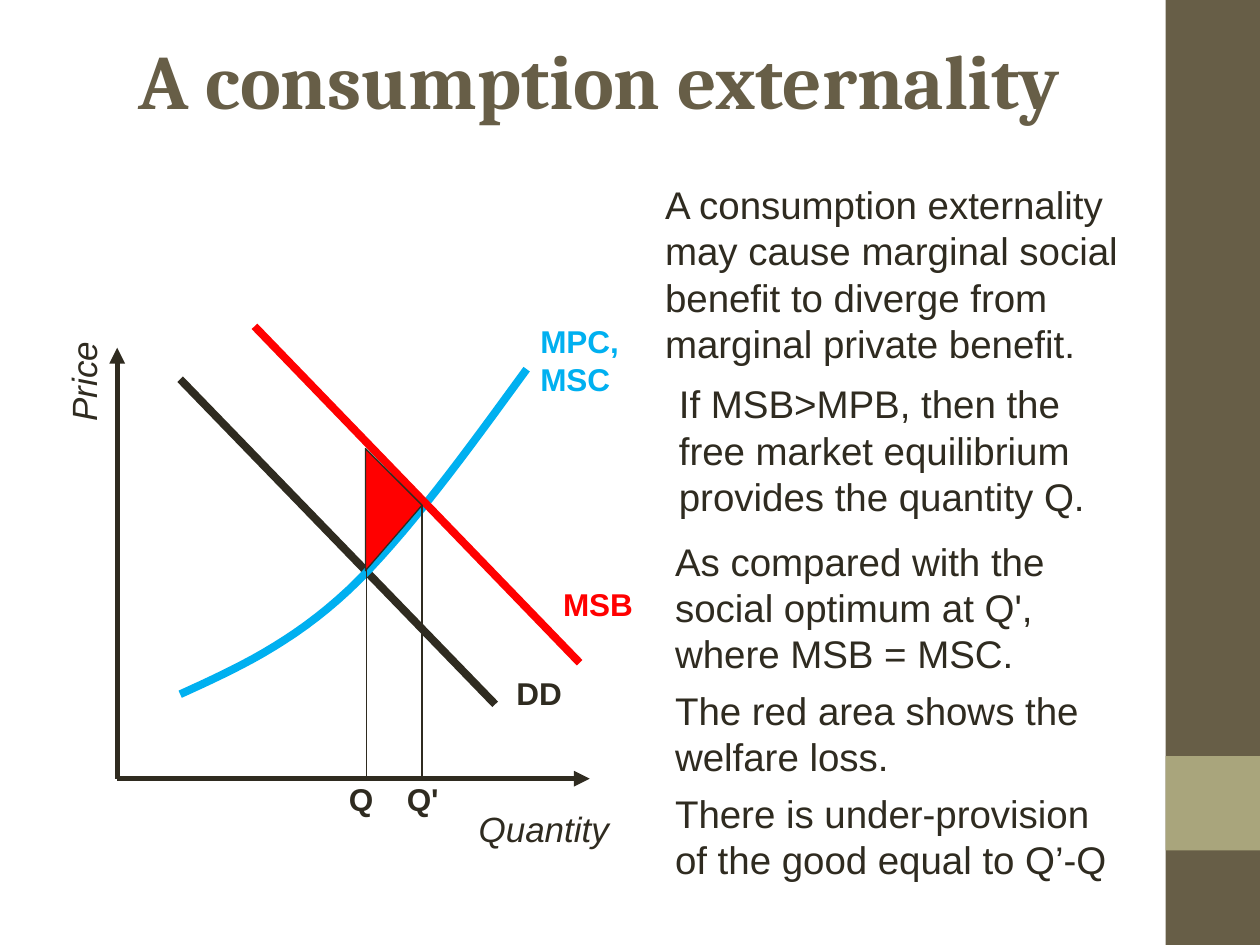
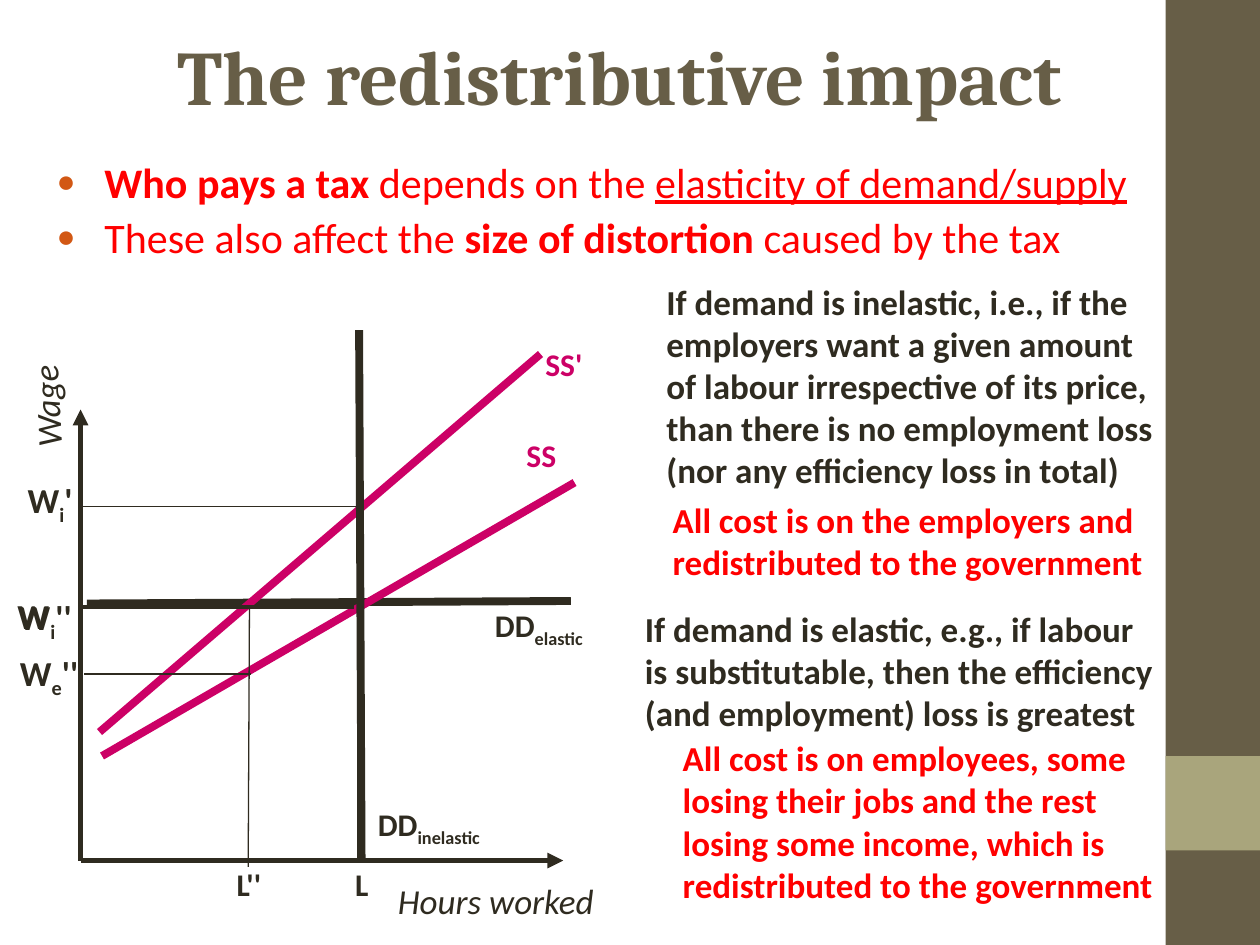
from lxml import etree
from pptx import Presentation
from pptx.dml.color import RGBColor
from pptx.enum.shapes import MSO_CONNECTOR, MSO_SHAPE
from pptx.enum.text import MSO_ANCHOR, MSO_AUTO_SIZE, PP_ALIGN
from pptx.oxml.ns import qn
from pptx.util import Emu, Pt

PX = 9144  # 100 px to the inch
SLIDE_WIDTH, SLIDE_HEIGHT = 1000, 750
BLANK_LAYOUT = 6
LABEL_SLACK = 4  # keeps tight one-line boxes from breaking a word
STRAIGHT = MSO_CONNECTOR.STRAIGHT
RECTANGLE = MSO_SHAPE.RECTANGLE
TOP = MSO_ANCHOR.TOP
CENTER = PP_ALIGN.CENTER
FIT_SHAPE = MSO_AUTO_SIZE.SHAPE_TO_FIT_TEXT

COLORS = {
    "band": "675E47",
    "accent": "A9A57C",
    "ink": "2F2B20",
    "red": "FF0000",
    "blue": "00B0F0",
    "magenta": "CC0066",
    "bullet": "D25814",
}
THIN, MEDIUM, AXIS, THICK = 0.75, 2.25, 3, 4.5


def color(name):
    return RGBColor.from_string(COLORS[name])


def px(*lengths):
    return [Emu(round(length * PX)) for length in lengths]


def bezier(start, control_1, control_2, end, steps=16):
    """Points along a cubic curve, without its start."""
    points = []
    for step in range(1, steps + 1):
        t = step / steps
        weights = ((1 - t) ** 3, 3 * t * (1 - t) ** 2, 3 * t * t * (1 - t), t ** 3)
        corners = (start, control_1, control_2, end)
        points.append(tuple(sum(w * corner[axis] for w, corner in zip(weights, corners))
                            for axis in (0, 1)))
    return points


class Deck:
    def __init__(self):
        self.presentation = Presentation()
        self.presentation.slide_width, self.presentation.slide_height = px(
            SLIDE_WIDTH, SLIDE_HEIGHT)
        self.slide = None
        self.font_name = None

    def new_slide(self, title, left, top, font_name):
        """Start a slide with the side bands and a title."""
        layout = self.presentation.slide_layouts[BLANK_LAYOUT]
        self.slide = self.presentation.slides.add_slide(layout)
        self.font_name = font_name
        self.band(925, 0, 75, SLIDE_HEIGHT, "band")
        self.band(925, 600, 75, 75, "accent")
        self.text([title], left, top, 850, 121, 44, "band", bold=True,
                  font_name="Cambria", align=CENTER, wrap=True)

    def band(self, left, top, width, height, fill):
        shape = self.slide.shapes.add_shape(RECTANGLE, *px(left, top, width, height))
        shape.shadow.inherit = False
        shape.fill.solid()
        shape.fill.fore_color.rgb = color(fill)
        shape.line.fill.background()

    def text(self, lines, left, top, width, height, size, ink="ink", bold=False,
             italic=False, font_name=None, align=None, wrap=False, rotation=0):
        """Write one paragraph a line; a line is a string or (text, style) runs."""
        if not wrap:
            width += LABEL_SLACK
        shape = self.slide.shapes.add_textbox(*px(left, top, width, height))
        shape.rotation = rotation
        frame = shape.text_frame
        frame.word_wrap = wrap
        frame.vertical_anchor = TOP
        if not wrap:
            frame.auto_size = FIT_SHAPE
        for index, line in enumerate(lines):
            paragraph = frame.paragraphs[0] if index == 0 else frame.add_paragraph()
            paragraph.alignment = align
            font = paragraph.font
            font.name = font_name or self.font_name
            font.size = Pt(size)
            font.color.rgb = color(ink)
            font.bold, font.italic = bold, italic
            runs = [(line, "")] if isinstance(line, str) else line
            for content, style in runs:
                self.run(paragraph, content, style)
        return frame

    def run(self, paragraph, content, style):
        run = paragraph.add_run()
        run.text = content
        if style == "bold":
            run.font.bold = True
        elif style == "underline":
            run.font.underline = True
        elif style == "subscript":
            run.font._element.set("baseline", "-25000")

    def label(self, content, left, top, width, ink="ink", size=18):
        """Bold diagram label; content is a string or a list of runs."""
        self.text([content], left, top, width, 40 if size == 18 else 44, size, ink, bold=True)

    def axis_name(self, content, left, top, width, rotation=0):
        self.text([content], left, top, width, 44, 20, italic=True, rotation=rotation)

    def bullets(self, lines, left, top, width, height, size, ink):
        frame = self.text(lines, left, top, width, height, size, ink, wrap=True)
        indent = 38 * PX
        for paragraph in frame.paragraphs:
            paragraph.line_spacing = 1.1
            properties = paragraph._p.get_or_add_pPr()
            properties.set("marL", str(indent))
            properties.set("indent", str(-indent))
            bullet_color = etree.Element(qn("a:buClr"))
            etree.SubElement(bullet_color, qn("a:srgbClr"), val=COLORS["bullet"])
            parts = (bullet_color,
                     etree.Element(qn("a:buSzPct"), val="75000"),
                     etree.Element(qn("a:buFont"), typeface="Arial"),
                     etree.Element(qn("a:buChar"), char="●"))
            default_font = properties.find(qn("a:defRPr"))
            for part in parts:
                default_font.addprevious(part)

    def line(self, start, end, ink="ink", width=THIN, arrow=False):
        connector = self.slide.shapes.add_connector(STRAIGHT, *px(*start, *end))
        connector.line.color.rgb = color(ink)
        connector.line.width = Pt(width)
        if arrow:
            etree.SubElement(connector.line._get_or_add_ln(), qn("a:tailEnd"), type="triangle")
        etree.SubElement(connector._element.spPr, qn("a:effectLst"))

    def axes(self, origin, right, top):
        x, y = origin
        for end in ((right, y), (x, top)):
            self.line(origin, end, width=AXIS, arrow=True)

    def outline(self, points, ink, width, fill=None):
        """Draw an open curve, or a closed area when it has a fill."""
        first, *others = [px(*point) for point in points]
        builder = self.slide.shapes.build_freeform(*first)
        builder.add_line_segments(others, close=fill is not None)
        shape = builder.convert_to_shape()
        shape.shadow.inherit = False
        shape.line.color.rgb = color(ink)
        shape.line.width = Pt(width)
        if fill:
            shape.fill.solid()
            shape.fill.fore_color.rgb = color(fill)
        else:
            shape.fill.background()


def consumption_externality(deck):
    deck.new_slide("A consumption externality", 51, 21, "Arial")

    # Axes, demand and cost curve
    deck.axes((93, 618), 468, 276)
    deck.line((143, 301), (393, 559), width=THICK)
    start, middle, end = (143, 551), (277, 468), (418, 293)
    cost_curve = [start,
                  *bezier(start, (187, 531), (231, 511), middle),
                  *bezier(middle, (322, 425), (370, 359), end)]
    deck.outline(cost_curve, "blue", THICK)
    deck.label("DD", 400, 530, 56)
    deck.text(["MPC,", "MSC"], 419, 251, 89, 70, 18, "blue", bold=True)
    deck.axis_name("Quantity", 370, 636, 123)
    deck.axis_name("Price", 23, 279, 83, rotation=270)

    # Market and optimal quantities
    deck.line((291, 451), (291, 618))
    deck.label("Q", 267, 614, 39)
    deck.line((202, 259), (460, 526), "red", THICK)
    deck.label("MSB", 437, 459, 75, "red")
    deck.line((335, 401), (335, 618))
    deck.label("Q'", 313, 614, 45)

    # Welfare loss
    deck.outline([(290, 453), (290, 356), (335, 401)], "ink", THIN, fill="red")

    # Explanation
    explanation = [
        (518, 139, 388, 157, ["A consumption externality", "may cause marginal social",
                              "benefit to diverge from", "marginal private benefit."]),
        (529, 297, 342, 120, ["If MSB>MPB, then the", "free market equilibrium",
                              "provides the quantity Q."]),
        (526, 422, 313, 120, ["As compared with the", "social optimum at Q',",
                              "where MSB = MSC."]),
        (526, 540, 340, 84, ["The red area shows the", "welfare loss."]),
        (526, 622, 362, 84, ["There is under-provision", "of the good equal to Q’-Q"]),
    ]
    for left, top, width, height, lines in explanation:
        deck.text(lines, left, top, width, height, 22)


def redistributive_impact(deck):
    deck.new_slide("The redistributive impact", 67, 18, "Calibri")

    # Axes, elastic demand and supply
    deck.axes((64, 683), 447, 325)
    deck.line((69, 479), (453, 477), width=THICK)
    deck.line((81, 600), (456, 383), "magenta", THICK)
    deck.axis_name("Hours worked", 306, 693, 176)
    deck.axis_name("Wage", -8, 298, 86, rotation=267.3)
    deck.line((284, 483), (284, 683))
    deck.label("L", 272, 682, 30)
    deck.label("W", 4, 467, 45, size=20)
    deck.label([("DD", ""), ("inelastic", "subscript")], 290, 634, 101)
    deck.label("SS", 408, 341, 43, "magenta")

    # Supply after the tax
    deck.line((198, 480), (197, 688))
    deck.label("L''", 178, 682, 42)
    deck.line((79, 581), (429, 281), "magenta", THICK)
    deck.label("SS'", 423, 269, 49, "magenta")

    # Wage levels and inelastic demand
    deck.line((287, 402), (62, 402))
    deck.line((281, 482), (64, 482), width=MEDIUM)
    deck.line((285, 262), (287, 682), width=THICK)
    deck.label([("DD", ""), ("elastic", "subscript")], 383, 476, 90)
    wages = [("i", "'", 12, 375, 55), ("i", "''", 5, 468, 62), ("e", "''", 6, 512, 66)]
    for index, prime, left, top, width in wages:
        deck.label([("W", ""), (index, "subscript"), (prime, "")], left, top, width, size=20)
    deck.line((199, 535), (67, 535))

    # Key points
    deck.bullets([
        [("Who pays a tax ", "bold"), ("depends on the ", ""),
         ("elasticity of demand/supply", "underline")],
        [("These also affect the ", ""), ("size of distortion", "bold"),
         (" caused by the tax", "")],
    ], 35, 115, 965, 118, 24, "red")

    # Explanation
    explanation = [
        (519, 218, 408, 177, "ink", ["If demand is inelastic, i.e., if the",
                                     "employers want a given amount",
                                     "of labour irrespective of its price,",
                                     "than there is no employment loss",
                                     "(nor any efficiency loss in total)"]),
        (524, 391, 395, 77, "red", ["All cost is on the employers and",
                                    "redistributed to the government"]),
        (502, 477, 430, 110, "ink", ["If demand is elastic, e.g., if labour",
                                     "is substitutable, then the efficiency",
                                     "(and employment) loss is greatest"]),
        (532, 580, 395, 144, "red", ["All cost is on employees, some",
                                     "losing their jobs and the rest",
                                     "losing some income, which is",
                                     "redistributed to the government"]),
    ]
    for left, top, width, height, ink, lines in explanation:
        deck.text(lines, left, top, width, height, 20, ink, bold=True)


def main():
    deck = Deck()
    consumption_externality(deck)
    redistributive_impact(deck)
    deck.presentation.save("out.pptx")


if __name__ == "__main__":
    main()
